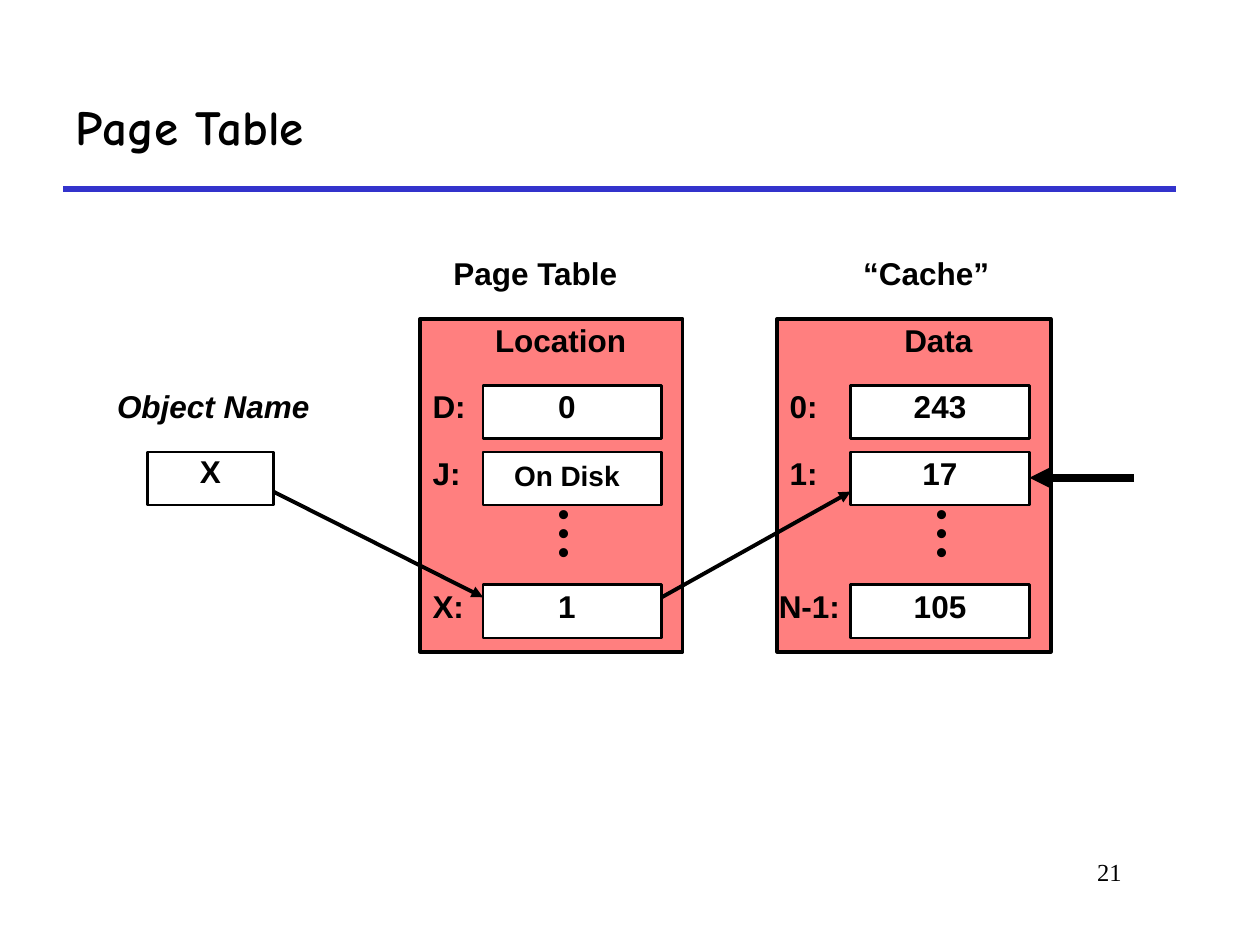
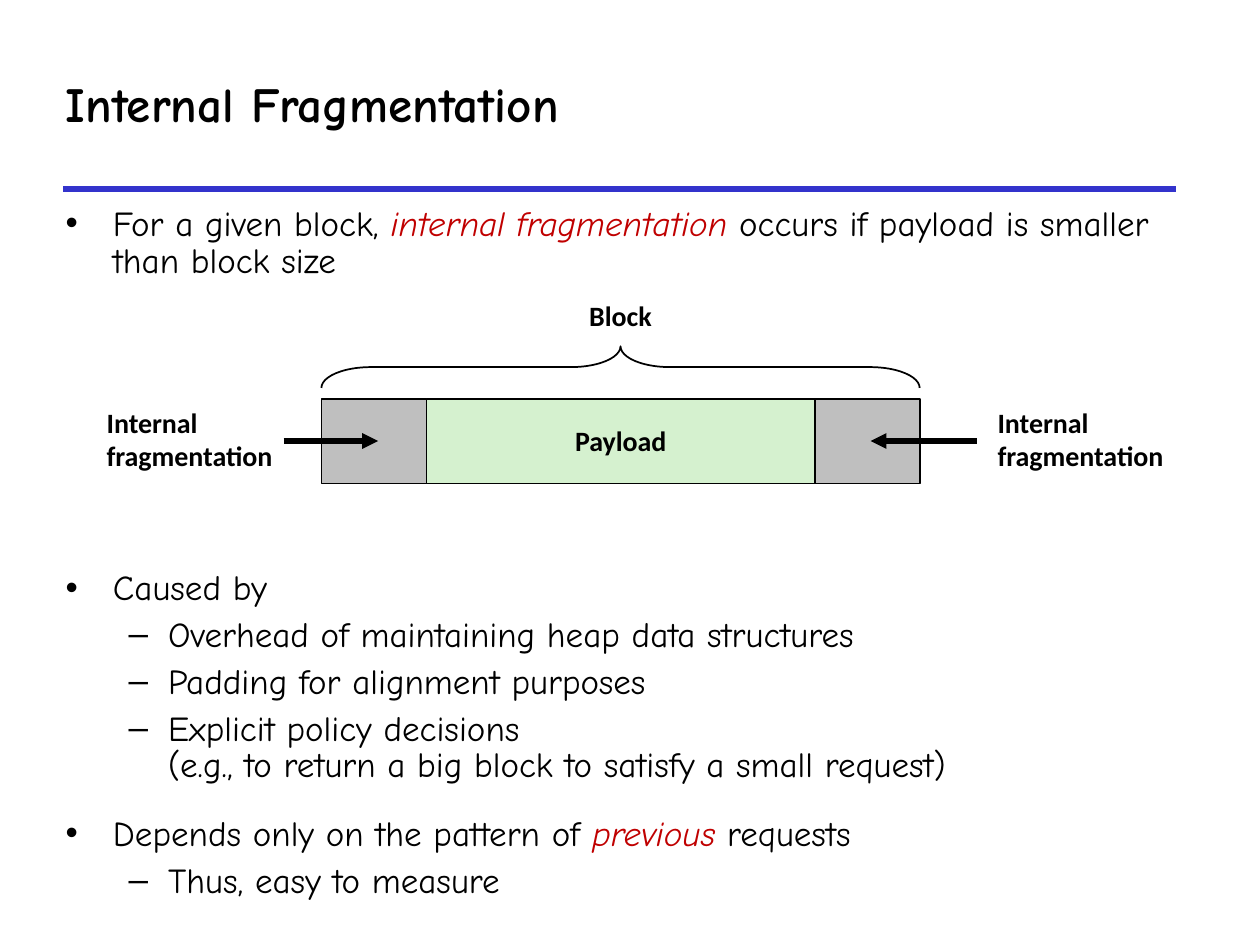
from dataclasses import dataclass

from lxml import etree
from pptx import Presentation
from pptx.dml.color import RGBColor
from pptx.enum import shapes, text
from pptx.oxml.ns import qn
from pptx.util import Cm, Pt


@dataclass(frozen=True)
class Theme:
    ink: RGBColor = RGBColor(0, 0, 0)
    paper: RGBColor = RGBColor(255, 255, 255)
    rule: RGBColor = RGBColor(0x33, 0x33, 0xCC)
    panel: RGBColor = RGBColor(0xFF, 0, 0)
    emphasis: RGBColor = RGBColor(0xC0, 0, 0)
    payload: RGBColor = RGBColor(0xD5, 0xF1, 0xCF)
    padding: RGBColor = RGBColor(0xBF, 0xBF, 0xBF)
    heading_font: str = "Comic Neue"
    diagram_font: str = "Arial"
    block_font: str = "Calibri"
    number_font: str = "Times New Roman"
    title_size: int = 28
    body_size: int = 20
    label_size: int = 18
    small_size: int = 16
    number_size: int = 14


theme = Theme()
LEFT, CENTER, RIGHT = text.PP_ALIGN.LEFT, text.PP_ALIGN.CENTER, text.PP_ALIGN.RIGHT


def box(slide, place, lines=(), fill=None, border=0, font=theme.diagram_font,
        size=theme.label_size, bold=True, align=LEFT, spacing=0.9):
    """Place a bordered rectangle, or a plain text box when border is 0."""
    place = [Cm(length) for length in place]
    if border:
        item = slide.shapes.add_shape(shapes.MSO_SHAPE.RECTANGLE, *place)
        item.shadow.inherit = False
        item.line.color.rgb, item.line.width = theme.ink, Pt(border)
        if fill is None:
            item.fill.background()
        else:
            item.fill.solid()
            item.fill.fore_color.rgb = fill
    else:
        item = slide.shapes.add_textbox(*place)
    frame = item.text_frame
    frame.word_wrap = True
    frame.vertical_anchor = text.MSO_ANCHOR.TOP
    for i, line in enumerate(lines):
        paragraph = frame.add_paragraph() if i else frame.paragraphs[0]
        paragraph.text, paragraph.alignment, paragraph.line_spacing = line, align, spacing
        paragraph.font.name, paragraph.font.size = font, Pt(size)
        paragraph.font.bold, paragraph.font.color.rgb = bold, theme.ink
    return item


def connect(slide, start, end, width, color=theme.ink, arrow=True):
    ends = [Cm(length) for length in (*start, *end)]
    link = slide.shapes.add_connector(shapes.MSO_CONNECTOR.STRAIGHT, *ends)
    link.line.color.rgb, link.line.width = color, Pt(width)
    if arrow:
        etree.SubElement(link.line._get_or_add_ln(), qn("a:tailEnd"), type="triangle")
    etree.SubElement(link._element.spPr, qn("a:effectLst"))


deck = Presentation()
deck.slide_width, deck.slide_height = Cm(25.4), Cm(19.05)
content_layout, title_layout = deck.slide_layouts[1], deck.slide_layouts[5]
paging = deck.slides.add_slide(title_layout)
fragmentation = deck.slides.add_slide(content_layout)

# Shared title style and rule
for slide, heading, place in (
    (paging, "Page Table", (1.27, 1.27, 22.43, 2.54)),
    (fragmentation, "Internal Fragmentation", (1.07, 1.27, 18.69, 1.6)),
):
    connect(slide, (1.27, 3.81), (23.7, 3.81), 3, theme.rule, arrow=False)
    title = slide.shapes.title
    title.left, title.top, title.width, title.height = [Cm(length) for length in place]
    title.text_frame.text = heading
    title.text_frame.auto_size = text.MSO_AUTO_SIZE.NONE
    title.text_frame.vertical_anchor = text.MSO_ANCHOR.MIDDLE
    paragraph = title.text_frame.paragraphs[0]
    paragraph.alignment = LEFT
    paragraph.font.name, paragraph.font.size = theme.heading_font, Pt(theme.title_size)
    paragraph.font.bold, paragraph.font.color.rgb = True, theme.ink

# Page table and cache: four row slots, the third holding the dots
box(paging, (19.25, 17.15, 3.61, 1.27), ["21"], font=theme.number_font,
    size=theme.number_size, bold=False, align=RIGHT, spacing=1)

panel_top, row_top, row_pitch = 6.43, 7.77, 1.34
cell_width, cell_height, label_height = 3.6, 1.07, 0.94
stores = (
    # name, its left, panel left, panel width, column head, its left,
    # cell left, cell right inset, dots left, rows by slot
    ("Page Table", 8.89, 8.47, 5.29, "Location", 9.73, 9.74, 0.47, 11,
     {0: ("D:", "0"), 1: ("J:", "On Disk"), 3: ("X:", "1")}),
    ("“Cache”", 17.15, 15.67, 5.51, "Data", 17.98, 17.15, 0.25, 18.62,
     {0: ("0:", "243"), 1: ("1:", "17"), 3: ("N-1:", "105")}),
)
for (name, name_left, panel_left, panel_width, head, head_left,
     cell_left, right_inset, dots_left, rows) in stores:
    box(paging, (name_left, 5.08, 4.2, label_height), [name])
    panel = box(paging, (panel_left, panel_top, panel_width, 6.71),
                fill=theme.panel, border=2.25)
    panel_color = panel._element.spPr.find(qn("a:solidFill")).find(qn("a:srgbClr"))
    etree.SubElement(panel_color, qn("a:alpha"), val="50000")
    box(paging, (head_left, panel_top, 3.4, label_height), [head])
    for slot, (key, value) in rows.items():
        top = row_top + slot * row_pitch
        on_disk = value == "On Disk"
        cell = box(paging, (cell_left, top, cell_width, cell_height), [value],
                   fill=theme.paper, border=1.5, align=CENTER,
                   size=theme.small_size if on_disk else theme.label_size)
        cell.text_frame.margin_right = Cm(right_inset)
        if on_disk:
            cell.text_frame.margin_top = Cm(0.21)
        key_left = 15.45 if key == "N-1:" else panel_left
        box(paging, (key_left, top, 1.85, label_height), [key])
    box(paging, (dots_left, 10.16, 0.7, 1.4), ["•"] * 3, align=CENTER, spacing=0.5)

box(paging, (2.11, row_top, 4.6, label_height), ["Object Name"]
    )._element.txBody.p_lst[0].get_or_add_pPr().get_or_add_defRPr().set("i", "1")
object_name = box(paging, (2.97, row_top + row_pitch, 2.54, cell_height), ["X"],
                  border=1.5, align=CENTER)
object_name.text_frame.margin_top = Cm(0.08)

connect(paging, (5.51, 9.91), (9.74, 12.04), 2.25)
connect(paging, (13.34, 12.04), (17.15, 9.91), 2.25)
connect(paging, (22.86, 9.63), (20.75, 9.63), 4.5)

# Internal fragmentation: asterisks enclose emphasised words
points = (
    (0, 0, "For a given block, *internal fragmentation* occurs if payload is smaller than block size"),
    (0, 166, "Caused by"),
    (1, 5.6, "Overhead of maintaining heap data structures"),
    (1, 5.6, "Padding for alignment purposes"),
    (1, 5.6, "Explicit policy decisions\n(e.g., to return a big block to satisfy a small request)"),
    (0, 18, "Depends only on the pattern of *previous* requests"),
    (1, 5.6, "Thus, easy to measure"),
)
body = fragmentation.placeholders[1]
body.left, body.top, body.width, body.height = Cm(1.07), Cm(4.04), Cm(23.09), Cm(15.01)
body.text_frame.auto_size = text.MSO_AUTO_SIZE.NONE
for i, (level, gap, point) in enumerate(points):
    paragraph = body.text_frame.add_paragraph() if i else body.text_frame.paragraphs[0]
    paragraph.level, paragraph.line_spacing, paragraph.space_before = level, 0.88, Pt(gap)
    paragraph.font.name, paragraph.font.size = theme.heading_font, Pt(theme.body_size)
    paragraph.font.color.rgb = theme.ink
    for line_number, line in enumerate(point.split("\n")):
        if line_number:
            paragraph.add_line_break()
        for part, words in enumerate(line.split("*")):
            run = paragraph.add_run()
            run.text = words
            if part % 2:
                run.font.italic, run.font.color.rgb = True, theme.emphasis

block_style = dict(font=theme.block_font, size=theme.small_size, spacing=0.98)
part_left = 6.48
for part_width, color, words in (
    (2.12, theme.padding, []),
    (7.83, theme.payload, ["Payload"]),
    (2.12, theme.padding, []),
):
    part = box(fragmentation, (part_left, 8.05, part_width, 1.7), words,
               fill=color, border=1, align=CENTER, **block_style)
    part.text_frame.vertical_anchor = text.MSO_ANCHOR.MIDDLE
    part_left += part_width

brace = fragmentation.shapes.add_shape(
    shapes.MSO_SHAPE.RIGHT_BRACE, Cm(12.09), Cm(1.37), Cm(0.84), Cm(12.06))
brace.rotation = 270
brace.adjustments[0] = 1.19
brace.shadow.inherit = False
brace.fill.background()
brace.line.color.rgb, brace.line.width = theme.ink, Pt(1)

box(fragmentation, (11.51, 5.92, 2, 0.91), ["Block"], align=CENTER, **block_style)
for label_left, arrow_start, arrow_end in ((1.9, 5.72, 7.62), (19.86, 19.69, 17.55)):
    box(fragmentation, (label_left, 8.08, 4.2, 1.57), ["Internal", "fragmentation"],
        **block_style)
    connect(fragmentation, (arrow_start, 8.89), (arrow_end, 8.89), 3)

deck.save("out.pptx")
